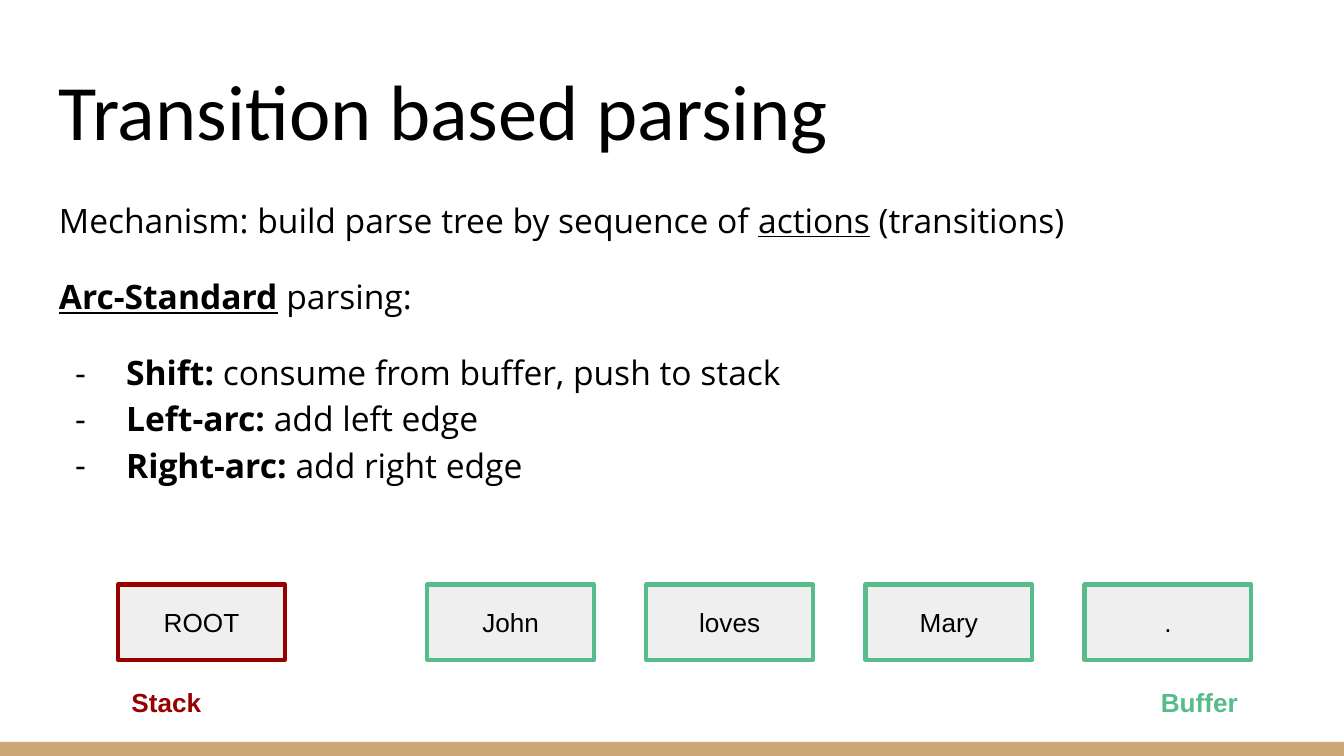
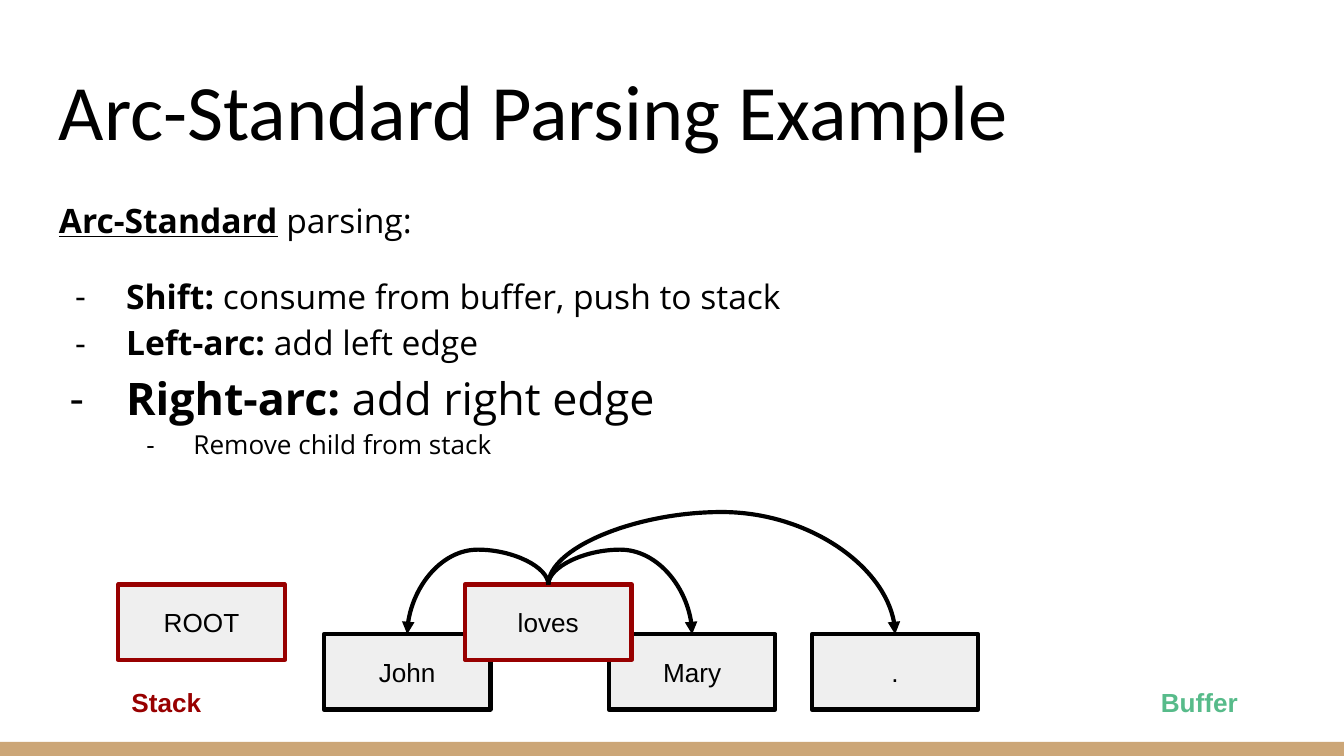
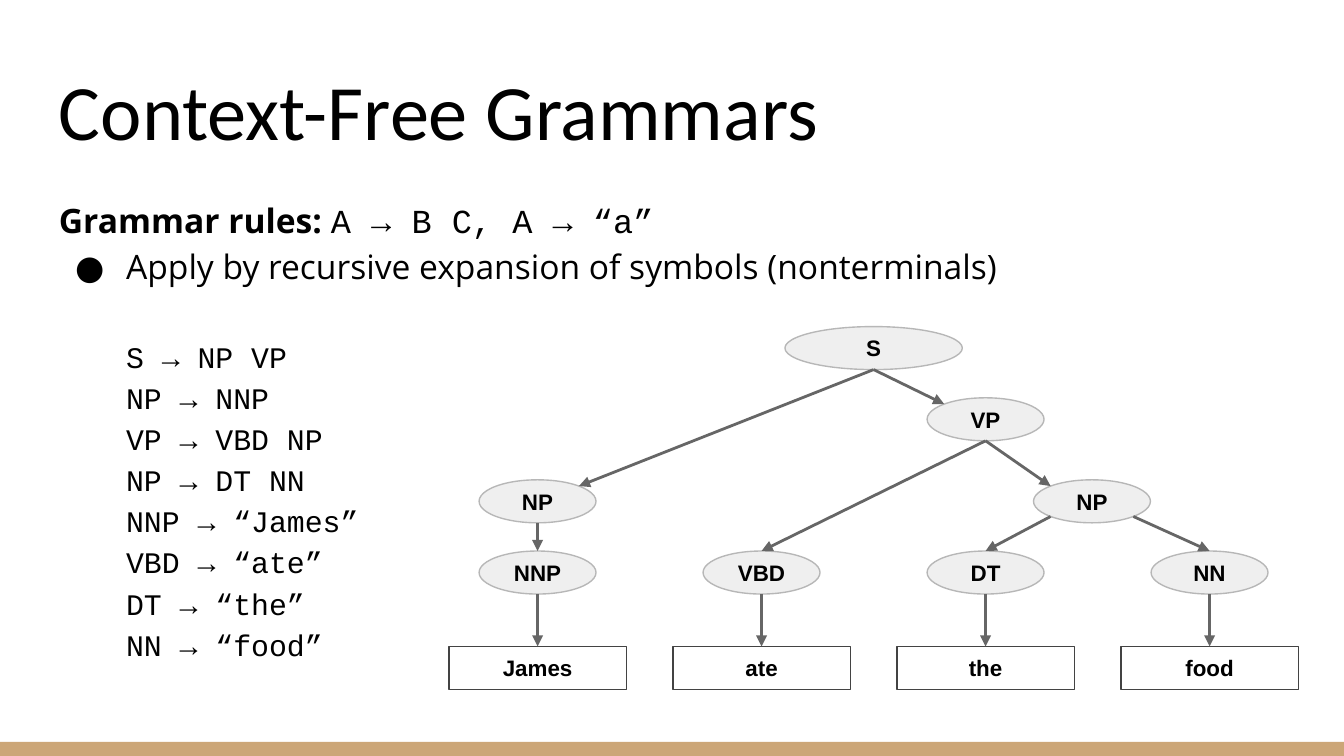
from dataclasses import dataclass

from pptx import Presentation
from pptx import util as u
from pptx.dml.color import RGBColor
from pptx.enum import shapes, text
from pptx.oxml import ns
from lxml import etree


@dataclass(frozen=True)
class Theme:
    black: str = "000000"
    band: str = "CCA677"
    pale: str = "EFEFEF"
    stack: str = "980000"
    buffer: str = "57BB8A"
    node_line: str = "B7B7B7"
    word_line: str = "434343"
    edge: str = "666666"
    title_font: str = "Calibri"
    body_font: str = "Open Sans"
    label_font: str = "Arial"
    code_font: str = "Courier New"
    title_size: int = 42
    body_size: int = 18
    large_size: int = 24
    code_size: int = 16
    token_size: int = 14
    node_size: int = 12


THEME = Theme()
BOLD = dict(bold=True)
CODE = dict(font=THEME.code_font)

# ---- Content: a paragraph is (spans, paragraph format); a span is (text, format)


def action(name, effect, **style):
    """A dashed list entry with a bold action name."""
    size = style.pop("size", THEME.body_size)
    spans = [(name, dict(bold=True, size=size)), (effect, dict(size=size))]
    return spans, dict(bullet="-", indent=0.5, hang=0.38) | style


ARC_STANDARD = [("Arc-Standard", dict(bold=True, underline=True)), (" parsing:", {})]
SHIFT = action("Shift:", " consume from buffer, push to stack", before=16)
LEFT_ARC = action("Left-arc:", " add left edge")
RIGHT_ARC = ("Right-arc: ", "add right edge")

MECHANISM = [
    ([("Mechanism: build parse tree by sequence of ", {}),
      ("actions", dict(underline=True)), (" (transitions)", {})], {}),
    (ARC_STANDARD, dict(before=16)),
    SHIFT, LEFT_ARC, action(*RIGHT_ARC),
]
EXAMPLE = [
    (ARC_STANDARD, {}),
    SHIFT, LEFT_ARC,
    action(*RIGHT_ARC, size=THEME.large_size, hang=0.42),
    ([("Remove child from stack", dict(size=THEME.token_size))],
     dict(bullet="-", indent=1, hang=0.35, level=1)),
]
RULES = ["S → NP VP", "NP → NNP", "VP → VBD NP", "NP → DT NN",
         "NNP → “James”", "VBD → “ate”", "DT → “the”", "NN → “food”"]
GRAMMAR = [
    ([("Grammar rules: ", BOLD), ("A → B C, A → “a”", CODE)], {}),
    ([("Apply by recursive expansion of symbols (nonterminals)", {})],
     dict(bullet="●", indent=0.5, hang=0.38)),
] + [
    ([(rule, CODE | dict(size=THEME.code_size))],
     dict(indent=0.5, before=0 if number else 25))
    for number, rule in enumerate(RULES)
]

# Tokens: word, left, top, outline
TOKEN_W, TOKEN_H = 1.24, 0.56
ROW_TOP, CHILD_TOP = 4.35, 4.72
ROOT = ("ROOT", 0.88, ROW_TOP, THEME.stack)
START_TOKENS = [ROOT] + [
    (word, 3.18 + 1.63 * column, ROW_TOP, THEME.buffer)
    for column, word in enumerate(["John", "loves", "Mary", "."])
]
PARSED_TOKENS = [
    ROOT,
    ("John", 2.41, CHILD_TOP, THEME.black),
    ("Mary", 4.53, CHILD_TOP, THEME.black),
    ("loves", 3.46, ROW_TOP, THEME.stack),
    (".", 6.04, CHILD_TOP, THEME.black),
]
ARCS = [("loves", "Mary", 0.26), ("loves", "John", 0.26), ("loves", ".", 0.54)]

# Tree: columns are counted in words from the left
WORDS = ["James", "ate", "the", "food"]
TAGS = ["NNP", "VBD", "DT", "NN"]
FIRST_X, COLUMN_STEP, NODE_H = 4, 5 / 3, 0.32
WORD_W, TAG_W = 1.32, 0.87
WORD_TOP, TAG_TOP = 4.81, 4.1
PHRASES = {  # key: (label, column, top, width)
    "object": ("NP", 2.475, 3.57, TAG_W),
    "VP": ("VP", 2, 2.96, TAG_W),
    "subject": ("NP", 0, 3.57, TAG_W),
    "S": ("S", 1.5, 2.43, WORD_W),
}
DIAGONAL = 0.354
SITES = {"top": (0, -0.5), "bottom": (0, 0.5),
         "top left": (-DIAGONAL, -DIAGONAL), "top right": (DIAGONAL, -DIAGONAL),
         "bottom left": (-DIAGONAL, DIAGONAL), "bottom right": (DIAGONAL, DIAGONAL)}
EDGES = [(tag, "bottom", word, "top") for tag, word in zip(TAGS, WORDS)] + [
    ("subject", "bottom", "NNP", "top"),
    ("VP", "bottom", "VBD", "top"),
    ("S", "bottom", "subject", "top right"),
    ("S", "bottom", "VP", "top left"),
    ("VP", "bottom", "object", "top left"),
    ("object", "bottom left", "DT", "top"),
    ("object", "bottom right", "NN", "top"),
]

# ---- Drawing helpers


def colour(value):
    return RGBColor.from_string(value)


def add_child(parent, tag, **attributes):
    return etree.SubElement(parent, ns.qn(tag), attributes)


def add_span(para, words, font=THEME.body_font, size=THEME.body_size,
             color=THEME.black, bold=False, underline=False):
    span = para.add_run()
    span.text = words
    span.font.name, span.font.size = font, u.Pt(size)
    span.font.color.rgb = colour(color)
    span.font.bold, span.font.underline = bold, underline


def format_paragraph(para, bullet=None, indent=0, hang=0, before=0, level=0):
    para.level = level
    para.line_spacing = 1.15
    para.space_before = u.Pt(before)
    properties = para._p.get_or_add_pPr()
    properties.set("marL", str(u.Inches(indent)))
    properties.set("indent", str(u.Inches(-hang)))
    if bullet:
        add_child(add_child(properties, "a:buClr"), "a:srgbClr", val=THEME.black)
        add_child(properties, "a:buFont", typeface=THEME.body_font)
        add_child(properties, "a:buChar", char=bullet)


def prepare_frame(box, anchor):
    frame = box.text_frame
    frame.word_wrap = True
    frame.vertical_anchor = anchor
    frame.margin_left = frame.margin_right = u.Inches(0.1)
    frame.margin_top = frame.margin_bottom = u.Inches(0.1)
    return frame


def write(box, words, align=text.PP_ALIGN.LEFT, anchor=text.MSO_ANCHOR.TOP, **style):
    """Put one formatted line into a box."""
    para = prepare_frame(box, anchor).paragraphs[0]
    para.alignment = align
    add_span(para, words, **style)


def add_box(page, left, top, width, height):
    return page.shapes.add_textbox(*map(u.Inches, (left, top, width, height)))


def add_body(page, paragraphs):
    frame = prepare_frame(add_box(page, 0.34, 1.34, 9.32, 3.67), text.MSO_ANCHOR.TOP)
    for number, (spans, layout) in enumerate(paragraphs):
        para = frame.add_paragraph() if number else frame.paragraphs[0]
        format_paragraph(para, **layout)
        for words, style in spans:
            add_span(para, words, **style)


def add_panel(page, kind, left, top, width, height, fill=None, line=None, weight=0.75):
    panel = page.shapes.add_shape(kind, *map(u.Inches, (left, top, width, height)))
    panel.shadow.inherit = False
    if fill:
        panel.fill.solid()
        panel.fill.fore_color.rgb = colour(fill)
    else:
        panel.fill.background()
    if line:
        panel.line.color.rgb = colour(line)
        panel.line.width = u.Pt(weight)
    else:
        panel.line.fill.background()
    return panel


def add_label(panel, words, **style):
    write(panel, words, align=text.PP_ALIGN.CENTER, anchor=text.MSO_ANCHOR.MIDDLE,
          font=THEME.label_font, **style)


def add_arrow(page, start, end, color, weight, kind=shapes.MSO_CONNECTOR.STRAIGHT):
    arrow = page.shapes.add_connector(kind, *map(u.Inches, (*start, *end)))
    arrow.line.color.rgb = colour(color)
    arrow.line.width = u.Pt(weight)
    add_child(arrow.get_or_add_ln(), "a:tailEnd", type="triangle")
    add_child(arrow._element.spPr, "a:effectLst")
    return arrow


def add_arc(page, start, end, rise):
    """Curve that climbs above start, then drops onto end: a turned S connector."""
    (x1, y1), (x2, y2) = start, end
    drop, reach = y2 - y1, abs(x2 - x1)
    middle_x, middle_y = (x1 + x2) / 2, (y1 + y2) / 2
    rightward = x2 > x1
    side = drop / 2 if rightward else -drop / 2
    arc = add_arrow(page, (middle_x + side, middle_y - reach / 2),
                    (middle_x - side, middle_y + reach / 2),
                    THEME.black, 2.25, shapes.MSO_CONNECTOR.CURVE)
    properties = arc._element.spPr
    properties.find(ns.qn("a:xfrm")).set("rot", str((270 if rightward else 90) * 60000))
    geometry = properties.find(ns.qn("a:prstGeom"))
    guides = geometry.find(ns.qn("a:avLst"))
    if guides is None:
        guides = add_child(geometry, "a:avLst")
    add_child(guides, "a:gd", name="adj1", fmla=f"val {round(-rise / drop * 100000)}")


# ---- Slide parts


def add_page(deck, title, paragraphs):
    page = deck.slides.add_slide(deck.slide_layouts[6])
    add_panel(page, shapes.MSO_SHAPE.RECTANGLE, 0, 5.52, 10, 0.11, fill=THEME.band)
    write(add_box(page, 0.34, 0.35, 9.32, 0.91), title, anchor=text.MSO_ANCHOR.BOTTOM,
          font=THEME.title_font, size=THEME.title_size)
    add_body(page, paragraphs)
    return page


def add_parser_state(page, tokens, arcs=()):
    places = {}
    for word, left, top, outline in tokens:
        panel = add_panel(page, shapes.MSO_SHAPE.RECTANGLE, left, top, TOKEN_W, TOKEN_H,
                          THEME.pale, outline, 2.25)
        add_label(panel, word, size=THEME.token_size)
        places[word] = (left + TOKEN_W / 2, top)
    for name, left, color, align in (
            ("Stack", 0.88, THEME.stack, text.PP_ALIGN.LEFT),
            ("Buffer", 7.01, THEME.buffer, text.PP_ALIGN.RIGHT)):
        write(add_box(page, left, 5.01, 2.3, 0.4), name, align=align, color=color,
              font=THEME.label_font, size=THEME.token_size, bold=True)
    for head, child, rise in arcs:
        add_arc(page, places[head], places[child], rise)


def add_tree(page):
    nodes = {word: (word, column, WORD_TOP, WORD_W) for column, word in enumerate(WORDS)}
    nodes |= {tag: (tag, column, TAG_TOP, TAG_W) for column, tag in enumerate(TAGS)}
    nodes |= PHRASES
    for key, (label, column, top, width) in nodes.items():
        left = FIRST_X + column * COLUMN_STEP - width / 2
        if key in WORDS:
            look = (shapes.MSO_SHAPE.RECTANGLE, None, THEME.word_line)
        else:
            look = (shapes.MSO_SHAPE.OVAL, THEME.pale, THEME.node_line)
        kind, fill, line = look
        panel = add_panel(page, kind, left, top, width, NODE_H, fill, line)
        add_label(panel, label, size=THEME.node_size, bold=True)

    def site(key, name):
        _, column, top, width = nodes[key]
        across, down = SITES[name]
        return (FIRST_X + column * COLUMN_STEP + across * width,
                top + (0.5 + down) * NODE_H)

    for parent, leave, child, arrive in EDGES:
        add_arrow(page, site(parent, leave), site(child, arrive), THEME.edge, 1.5)


def main():
    deck = Presentation()
    deck.slide_width, deck.slide_height = u.Inches(10), u.Inches(5.625)
    add_parser_state(add_page(deck, "Transition based parsing", MECHANISM), START_TOKENS)
    add_parser_state(add_page(deck, "Arc-Standard Parsing Example", EXAMPLE),
                     PARSED_TOKENS, ARCS)
    add_tree(add_page(deck, "Context-Free Grammars", GRAMMAR))
    deck.save("out.pptx")


if __name__ == "__main__":
    main()
